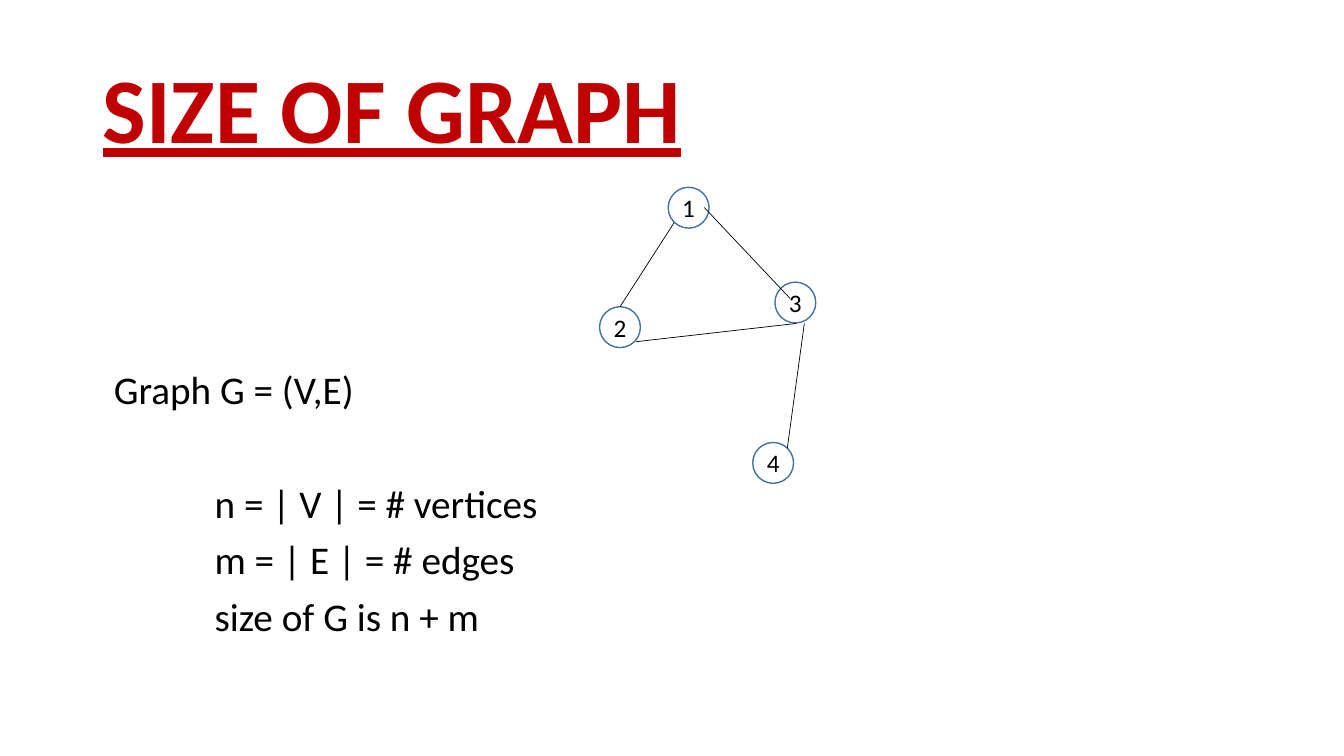
from dataclasses import dataclass

from lxml.etree import SubElement
from pptx import Presentation
from pptx.dml.color import RGBColor
from pptx.enum.shapes import MSO_CONNECTOR, MSO_SHAPE
from pptx.enum.text import MSO_ANCHOR, PP_ALIGN
from pptx.oxml.ns import qn
from pptx.util import Cm, Pt


@dataclass(frozen=True)
class Theme:
    """Colours, font and type sizes of the slide."""
    font: str = "Calibri"
    heading: RGBColor = RGBColor(0xC0, 0x00, 0x00)
    ink: RGBColor = RGBColor(0x00, 0x00, 0x00)
    outline: RGBColor = RGBColor(0x43, 0x73, 0x9E)
    heading_size: int = 66
    body_size: int = 28
    label_size: int = 18
    outline_width: float = 1
    edge_width: float = 0.5


class GraphSlide:
    """Draws headings, definitions, vertices and edges on one slide."""

    def __init__(self, slide, theme):
        """Keep the slide and its style."""
        self.slide = slide
        self.theme = theme

    def add_words(self, paragraph, wording, size, colour):
        """Add one styled run to a paragraph."""
        run = paragraph.add_run()
        run.text = wording
        run.font.name = self.theme.font
        run.font.size = Pt(size)
        run.font.color.rgb = colour
        return run

    def frame(self, left, top, width, height):
        """Add a wrapping text box and return its frame."""
        box = self.slide.shapes.add_textbox(Cm(left), Cm(top), Cm(width), Cm(height))
        box.text_frame.word_wrap = True
        return box.text_frame

    def heading(self, wording, *place):
        """Add the underlined heading."""
        frame = self.frame(*place)
        frame.vertical_anchor = MSO_ANCHOR.MIDDLE
        paragraph = frame.paragraphs[0]
        paragraph.line_spacing = 0.9
        run = self.add_words(paragraph, wording, self.theme.heading_size, self.theme.heading)
        run.font.bold = run.font.underline = True

    def definitions(self, lines, *place):
        """Add lines given as wording, left margin and space before."""
        frame = self.frame(*place)
        for number, (wording, margin, space) in enumerate(lines):
            paragraph = frame.add_paragraph() if number else frame.paragraphs[0]
            paragraph.line_spacing = 0.9
            paragraph.space_before = Pt(space)
            paragraph._p.get_or_add_pPr().set("marL", str(Cm(margin)))
            self.add_words(paragraph, wording, self.theme.body_size, self.theme.ink)

    def vertex(self, label, left, top, diameter=1.03):
        """Add a labelled circle."""
        circle = self.slide.shapes.add_shape(
            MSO_SHAPE.OVAL, Cm(left), Cm(top), Cm(diameter), Cm(diameter))
        circle.shadow.inherit = False
        circle.fill.background()
        circle.line.color.rgb = self.theme.outline
        circle.line.width = Pt(self.theme.outline_width)
        frame = circle.text_frame
        frame.word_wrap = False
        frame.vertical_anchor = MSO_ANCHOR.MIDDLE
        frame.margin_left = frame.margin_right = 0
        frame.margin_top = frame.margin_bottom = 0
        paragraph = frame.paragraphs[0]
        paragraph.alignment = PP_ALIGN.CENTER
        self.add_words(paragraph, label, self.theme.label_size, self.theme.ink)
        return circle

    def edge(self, *ends):
        """Add a straight edge from x, y to x, y."""
        line = self.slide.shapes.add_connector(MSO_CONNECTOR.STRAIGHT, *map(Cm, ends))
        line.line.color.rgb = self.theme.ink
        line.line.width = Pt(self.theme.edge_width)
        SubElement(line._element.spPr, qn("a:effectLst"))
        return line


def main():
    """Build and save the slide."""
    deck = Presentation()
    deck.slide_width, deck.slide_height = Cm(33.87), Cm(19.05)
    page = GraphSlide(deck.slides.add_slide(deck.slide_layouts[6]), Theme())

    page.heading("SIZE OF GRAPH", 2.34, 1.02, 29.21, 3.68)
    page.definitions([
        ("Graph G = (V,E)", 0, 10),
        ("n = | V | = # vertices", 2.54, 51),
        ("m = | E | = # edges", 2.54, 10),
        ("size of G is n + m", 2.54, 10),
    ], 2.62, 9.22, 30.28, 9.14)

    places = {"1": (16.84, 4.72), "2": (15.11, 7.73),
              "3": (19.53, 7.11), "4": (18.97, 11.15)}
    vertices = {label: page.vertex(label, *place) for label, place in places.items()}

    edge_2_1 = page.edge(15.62, 7.73, 16.99, 5.61)
    edge_2_1.begin_connect(vertices["2"], 0)
    for ends in [(16.03, 8.61, 20.07, 8.15),
                 (19.91, 7.52, 17.75, 5.23),
                 (19.84, 11.3, 20.27, 8.15)]:
        page.edge(*ends)

    deck.save("out.pptx")


if __name__ == "__main__":
    main()
